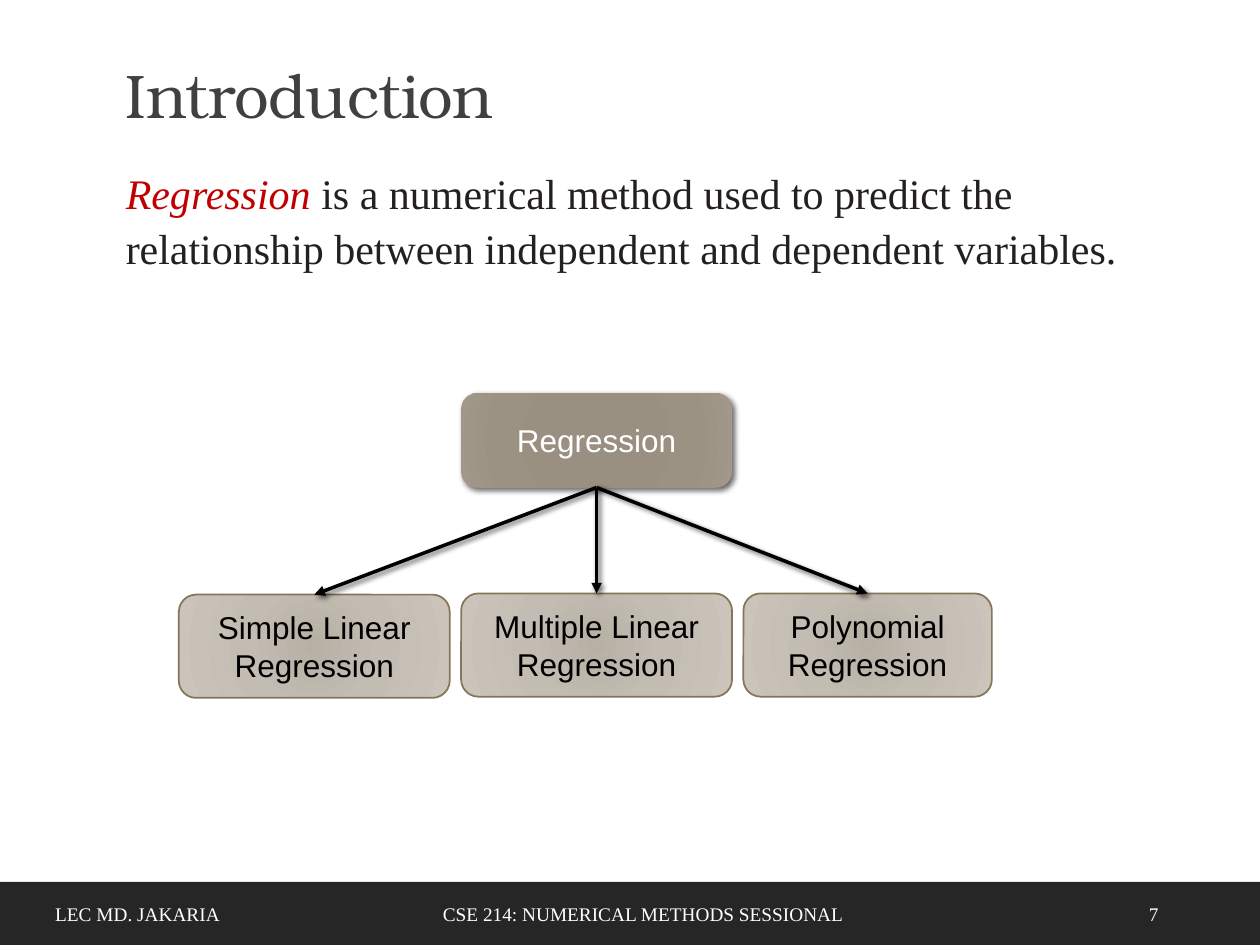
from dataclasses import dataclass

import pptx
import pptx.dml.color
import pptx.enum.shapes
import pptx.enum.text
import pptx.oxml
import pptx.oxml.ns
import pptx.util

Pt = pptx.util.Pt
ALIGN = pptx.enum.text.PP_ALIGN
ANCHOR = pptx.enum.text.MSO_ANCHOR
SHAPES = pptx.enum.shapes.MSO_SHAPE


@dataclass(frozen=True)
class Theme:
    heading: str = "TeX Gyre Bonum"
    serif: str = "Times New Roman"
    sans: str = "Arial"
    heading_size: float = 35.2
    body_size: float = 24
    node_size: float = 18
    footer_size: float = 11
    grey: str = "404040"
    ink: str = "242021"
    accent: str = "C00000"
    bar: str = "262626"
    white: str = "FFFFFF"
    black: str = "000000"
    border: str = "857659"
    root_stops: tuple = ((0, "988E80"), (34, "999081"), (70, "9C9283"), (100, "A1988B"))
    leaf_stops: tuple = ((0, "B7B0A4"), (45, "C3BCB3"), (100, "CBC4BA"))


THEME = Theme()


@dataclass(frozen=True)
class Box:
    left: float
    top: float
    width: float
    height: float

    def lengths(self) -> tuple:
        return tuple(Pt(v) for v in (self.left, self.top, self.width, self.height))


@dataclass(frozen=True)
class Footer:
    text: str
    left: float
    width: float
    align: ALIGN = ALIGN.LEFT


@dataclass(frozen=True)
class Leaf:
    text: str
    top: float
    width: float


def rgb(value: str):
    return pptx.dml.color.RGBColor.from_string(value)


def drawing_xml(tag: str, content: str = "", attributes: str = ""):
    namespace = pptx.oxml.ns.nsdecls("a")
    return pptx.oxml.parse_xml(f"<a:{tag} {namespace} {attributes}>{content}</a:{tag}>")


def style(paragraph, face: str, size: float, color: str, align=ALIGN.LEFT) -> None:
    font = paragraph.font
    font.name, font.size = face, Pt(size)
    font.color.rgb = rgb(color)
    paragraph.alignment = align


def add_text(slide, box: Box, anchor=ANCHOR.TOP):
    """Add a wrapping text box and return its first paragraph."""
    frame = slide.shapes.add_textbox(*box.lengths()).text_frame
    frame.word_wrap = True
    frame.vertical_anchor = anchor
    return frame.paragraphs[0]


def add_shadow(properties, blur: float) -> None:
    """Replace any effects with a soft shadow to the lower right."""
    for effects in properties.findall(pptx.oxml.ns.qn("a:effectLst")):
        properties.remove(effects)
    properties.append(drawing_xml(
        "effectLst",
        f'<a:outerShdw blurRad="{Pt(blur)}" dist="{Pt(2)}" dir="2700000" algn="tl" '
        f'rotWithShape="0"><a:srgbClr val="{THEME.black}"><a:alpha val="60000"/>'
        "</a:srgbClr></a:outerShdw>"))


def add_node(slide, text: str, box: Box, stops: tuple, color: str):
    node = slide.shapes.add_shape(SHAPES.ROUNDED_RECTANGLE, *box.lengths())
    node.shadow.inherit = False
    gradient = "".join(f'<a:gs pos="{position * 1000}"><a:srgbClr val="{value}"/></a:gs>'
                       for position, value in stops)
    geometry = node._element.spPr.find(pptx.oxml.ns.qn("a:prstGeom"))
    geometry.addnext(drawing_xml(
        "gradFill",
        f'<a:gsLst>{gradient}</a:gsLst><a:path path="circle">'
        '<a:fillToRect l="100000" t="100000" r="100000" b="100000"/></a:path>'))
    frame = node.text_frame
    frame.word_wrap = True
    frame.vertical_anchor = ANCHOR.MIDDLE
    label = frame.paragraphs[0]
    label.text = text
    style(label, THEME.sans, THEME.node_size, color, ALIGN.CENTER)
    return node


def add_arrow(slide, parent, child) -> None:
    arrow = slide.shapes.add_connector(pptx.enum.shapes.MSO_CONNECTOR.STRAIGHT, 0, 0, 0, 0)
    arrow.begin_connect(parent, 2)
    arrow.end_connect(child, 0)
    arrow.line.width = Pt(2)
    arrow.line.color.rgb = rgb(THEME.black)
    arrow.line._get_or_add_ln().append(drawing_xml("tailEnd", attributes='type="triangle"'))
    add_shadow(arrow._element.spPr, 3)


def add_footer(slide, footer: Footer) -> None:
    paragraph = add_text(slide, Box(footer.left, 507.6, footer.width, 28.8), ANCHOR.MIDDLE)
    paragraph.text = footer.text
    style(paragraph, THEME.serif, THEME.footer_size, THEME.white, footer.align)


def main() -> None:
    deck = pptx.Presentation()
    deck.slide_width, deck.slide_height = Pt(720), Pt(540)
    slide = deck.slides.add_slide(deck.slide_layouts[6])

    # Footer bar
    bar = slide.shapes.add_shape(SHAPES.RECTANGLE, *Box(0, 504, 720, 36).lengths())
    bar.shadow.inherit = False
    bar.fill.solid()
    bar.fill.fore_color.rgb = rgb(THEME.bar)
    bar.line.fill.background()

    # Title
    title = add_text(slide, Box(64.8, 33.8, 594, 55.4))
    title.line_spacing = 0.9
    heading = title.add_run()
    heading.text = "Introduction"
    heading.font._element.set("spc", "-40")
    style(title, THEME.heading, THEME.heading_size, THEME.grey)

    # Definition
    definition = add_text(slide, Box(64.8, 89.3, 609, 373))
    definition.line_spacing = 1.1
    definition.space_after = Pt(1.5)
    term = definition.add_run()
    term.text = "Regression"
    term.font.italic = True
    term.font.color.rgb = rgb(THEME.accent)
    definition.add_run().text = (" is a numerical method used to predict the relationship "
                                 "between independent and dependent variables.")
    style(definition, THEME.serif, THEME.body_size, THEME.ink)

    # Footer texts
    for footer in (Footer("7", 649.4, 46),
                   Footer("CSE 214: NUMERICAL METHODS SESSIONAL", 238.3, 258.5, ALIGN.CENTER),
                   Footer("LEC MD. JAKARIA", 24.5, 232)):
        add_footer(slide, footer)

    # Tree of regression types
    root = add_node(slide, "Regression", Box(263.5, 224.6, 154.8, 54),
                    THEME.root_stops, THEME.white)
    root.line.fill.background()
    add_shadow(root._element.spPr, 3.5)

    left, gap = 102.2, 6.5
    leaves = []
    for leaf in (Leaf("Simple Linear Regression", 339.8, 154.8),
                 Leaf("Multiple Linear Regression", 339.1, 154.8),
                 Leaf("Polynomial Regression", 339.1, 142)):
        node = add_node(slide, leaf.text, Box(left, leaf.top, leaf.width, 59),
                        THEME.leaf_stops, THEME.black)
        node.line.color.rgb = rgb(THEME.border)
        node.line.width = Pt(1)
        leaves.append(node)
        left += leaf.width + gap

    for node in leaves:
        add_arrow(slide, root, node)

    deck.save("out.pptx")


if __name__ == "__main__":
    main()
